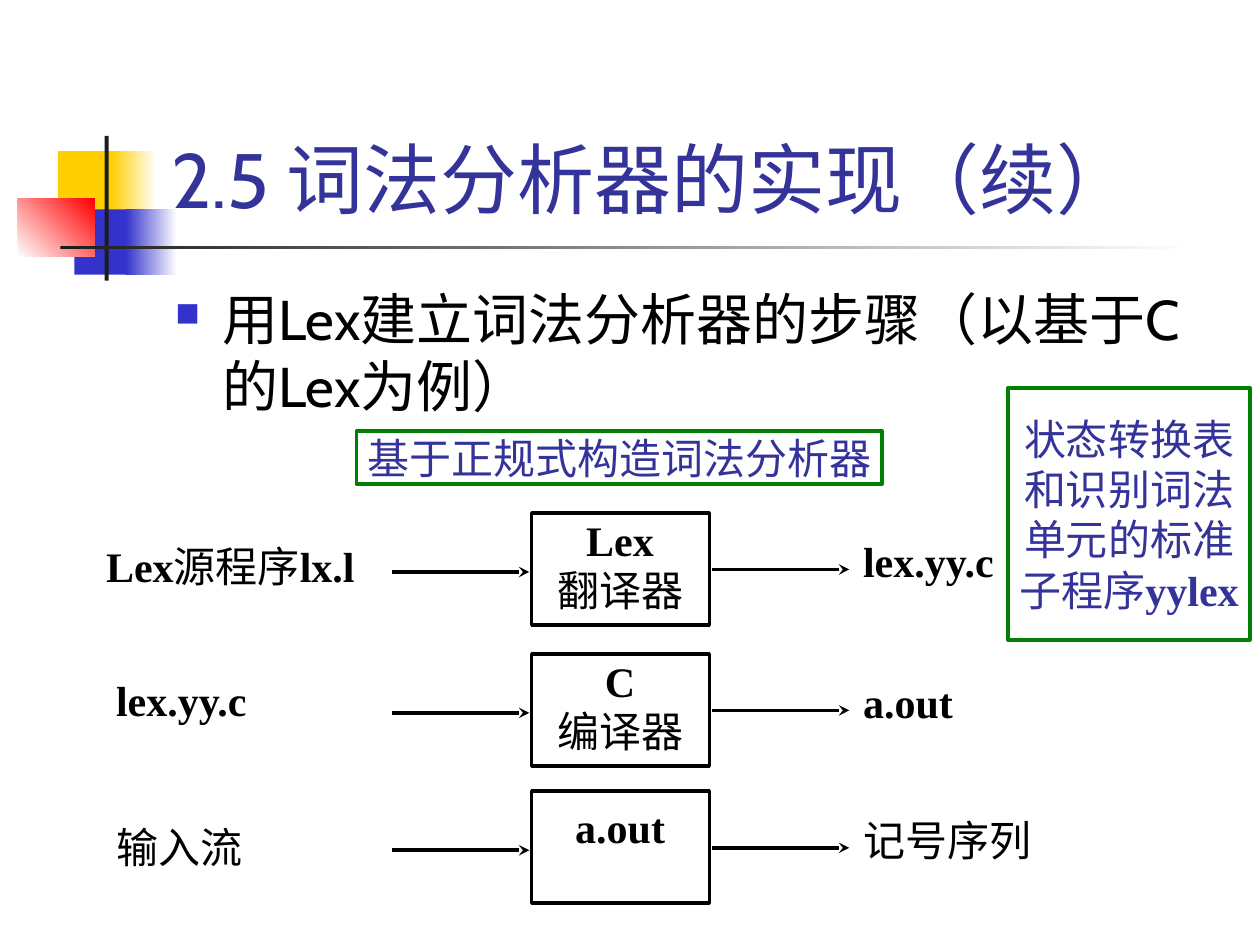
"""Build the slide on the steps for making a lexical analyser with Lex."""
from dataclasses import dataclass

from pptx import Presentation
from pptx import util as u
from pptx.dml.color import RGBColor
from pptx.enum import shapes, text
from pptx.oxml import ns, xmlchemy


@dataclass(frozen=True)
class Theme:
    heading_font: str = "Cabin"
    diagram_font: str = "Times New Roman"
    title_size: int = 44
    body_size: int = 32
    diagram_size: int = 24
    line_width: int = 2
    black: str = "000000"
    white: str = "FFFFFF"
    indigo: str = "333399"
    blue: str = "3333CC"
    yellow: str = "FFCF01"
    red: str = "FF0000"
    dark: str = "1C1C1C"
    green: str = "008000"


THEME = Theme()
CENTER, JUSTIFY = text.PP_ALIGN.CENTER, text.PP_ALIGN.JUSTIFY
TOP, MIDDLE, BOTTOM = (text.MSO_ANCHOR.TOP, text.MSO_ANCHOR.MIDDLE,
                       text.MSO_ANCHOR.BOTTOM)
LABEL_INSETS = (0.23, 0.08, 0.25, 0.13)
STAGE_INSETS = (0.23, 0.03, 0.25, 0.03)
NOTE_INSETS = (0.15, 0.08, 0.15, 0.08)


def cm(*lengths):
    return [u.Cm(length) for length in lengths]


def rgb(code):
    return RGBColor.from_string(code)


def add_child(parent, tag, **attributes):
    child = xmlchemy.OxmlElement(tag)
    for key, value in attributes.items():
        child.set(key, value)
    parent.append(child)
    return child


def write_text(holder, paragraphs, *, font=THEME.diagram_font, size=THEME.diagram_size,
               color=THEME.black, align=None, anchor=TOP, insets=None, wrap=True,
               bullet=None):
    """Write paragraphs, each a list of (words, bold) runs."""
    frame = holder.text_frame
    frame.word_wrap = wrap
    frame.vertical_anchor = anchor
    if insets:
        (frame.margin_left, frame.margin_top,
         frame.margin_right, frame.margin_bottom) = cm(*insets)
    for index, runs in enumerate(paragraphs):
        paragraph = frame.add_paragraph() if index else frame.paragraphs[0]
        paragraph.alignment = align
        if bullet:
            add_bullet(paragraph, bullet)
        for words, bold in runs:
            run = paragraph.add_run()
            run.text = words
            run.font.name, run.font.size = font, u.Pt(size)
            run.font.bold = bold
            run.font.color.rgb = rgb(color)


def add_bullet(paragraph, mark):
    properties = paragraph._p.get_or_add_pPr()
    indent = u.Cm(0.95)
    properties.set("marL", str(indent))
    properties.set("indent", str(-indent))
    add_child(add_child(properties, "a:buClr"), "a:srgbClr", val=THEME.blue)
    add_child(properties, "a:buSzPct", val="60000")
    add_child(properties, "a:buChar", char=mark)


def add_label(slide, place, paragraphs, **text_format):
    label = slide.shapes.add_textbox(*cm(*place))
    write_text(label, paragraphs, **text_format)


def add_block(slide, place, start, end=None, angle=0):
    block = slide.shapes.add_shape(shapes.MSO_SHAPE.RECTANGLE, *cm(*place))
    block.shadow.inherit = False
    block.line.fill.background()
    if end is None:
        block.fill.solid()
        block.fill.fore_color.rgb = rgb(start)
        return
    block.fill.gradient()
    block.fill.gradient_angle = angle
    for stop, position, color in zip(block.fill.gradient_stops, (0, 1), (start, end)):
        stop.position = position
        stop.color.rgb = rgb(color)


def add_frame(slide, place, paragraphs, outline, **text_format):
    frame = slide.shapes.add_shape(shapes.MSO_SHAPE.RECTANGLE, *cm(*place))
    frame.shadow.inherit = False
    frame.fill.background()
    frame.line.color.rgb = rgb(outline)
    frame.line.width = u.Pt(THEME.line_width)
    write_text(frame, paragraphs, align=CENTER, **text_format)


def add_arrow(slide, left, right, y):
    arrow = slide.shapes.add_connector(shapes.MSO_CONNECTOR.STRAIGHT,
                                       *cm(left, y, right, y))
    arrow.line.color.rgb = rgb(THEME.black)
    arrow.line.width = u.Pt(THEME.line_width)
    properties = arrow._element.spPr
    add_child(properties.find(ns.qn("a:ln")), "a:tailEnd", type="stealth")
    add_child(properties, "a:effectLst")


def add_ornament(slide):
    add_block(slide, (1.17, 3.05, 1.22, 1.32), THEME.yellow)
    add_block(slide, (2.24, 3.05, 0.91, 1.32), THEME.yellow, THEME.white)
    add_block(slide, (1.5, 4.22, 1.17, 1.32), THEME.blue)
    add_block(slide, (2.54, 4.22, 1.02, 1.32), THEME.blue, THEME.white)
    add_block(slide, (0.36, 4.01, 1.55, 1.17), THEME.white, THEME.red, angle=45)
    add_block(slide, (2.11, 2.74, 0.08, 2.92), THEME.dark)
    add_block(slide, (1.22, 4.95, 22.86, 0.08), THEME.dark, THEME.white)


def add_step(slide, top, source, source_place, stage, result, stage_top_inset=0.03):
    """Draw one step: source, arrow, stage, arrow, result."""
    left, _, right, bottom = STAGE_INSETS
    add_frame(slide, (10.72, top, 3.58, 2.26), stage, THEME.black,
              insets=(left, stage_top_inset, right, bottom))
    add_arrow(slide, 7.9, 10.67, top + 1.19)
    add_arrow(slide, 14.35, 17.12, top + 1.14)
    source_left, source_drop, source_width = source_place
    for runs, place in (
            (source, (source_left, top + source_drop, source_width, 1.24)),
            (result, (17.17, top + 0.38, 5.69, 1.24))):
        add_label(slide, place, [runs], align=JUSTIFY, insets=LABEL_INSETS)


def main():
    deck = Presentation()
    deck.slide_width, deck.slide_height = cm(25.4, 19.05)
    slide = deck.slides.add_slide(deck.slide_layouts[6])

    add_ornament(slide)
    add_label(slide, (3.2, 0.58, 21.64, 4.06), [[("2.5 词法分析器的实现（续）", False)]],
              font=THEME.heading_font, size=THEME.title_size, color=THEME.indigo,
              anchor=BOTTOM)
    add_label(slide, (3.28, 5.61, 21.6, 11.43),
              [[("用Lex建立词法分析器的步骤（以基于C的Lex为例）", False)]],
              font=THEME.heading_font, size=THEME.body_size, bullet="■")

    add_step(slide, 10.34, [("Lex", True), ("源程序", False), ("lx.l", True)],
             (1.91, 0.48, 5.89), [[("Lex", True)], [("翻译器", False)]],
             [("lex.yy.c", True)])
    add_step(slide, 13.18, [("lex.yy.c", True)], (2.11, 0.33, 3.61),
             [[("C", True)], [("编译器", False)]], [("a.out", True)])
    add_step(slide, 15.95, [("输入流", False)], (2.11, 0.53, 3.38),
             [[("a.out", True)]], [("记号序列", False)], stage_top_inset=0.2)

    note = {"outline": THEME.green, "color": THEME.indigo, "anchor": MIDDLE,
            "insets": NOTE_INSETS, "wrap": False}
    add_frame(slide, (20.32, 7.82, 4.88, 5.08),
              [[("状态转换表", False)], [("和识别词法", False)], [("单元的标准", False)],
               [("子程序", False), ("yylex", True)]], **note)
    add_frame(slide, (7.19, 8.69, 10.59, 1.07),
              [[("基于正规式构造词法分析器", False)]], **note)

    deck.save("out.pptx")


if __name__ == "__main__":
    main()
